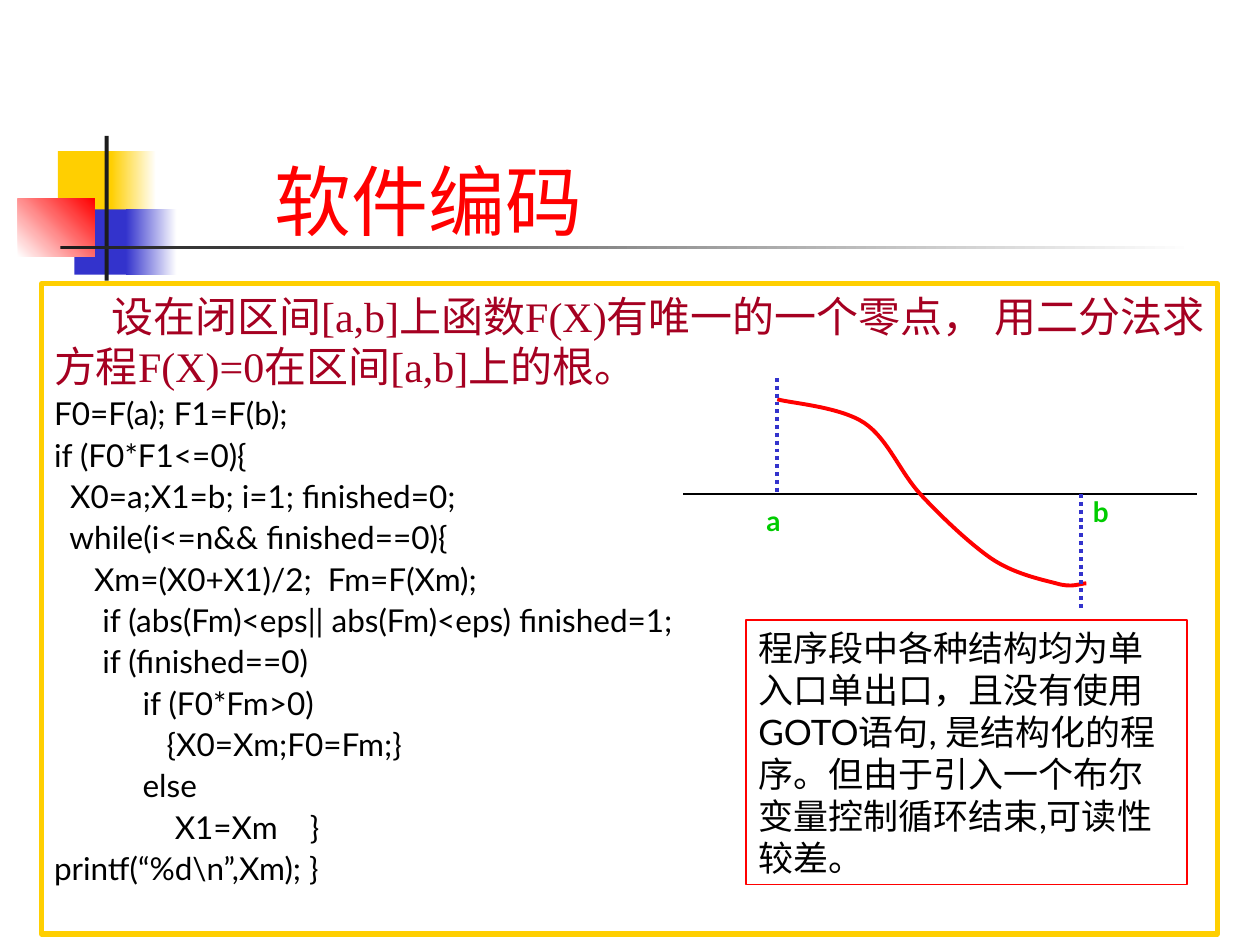
from collections import namedtuple

from lxml.etree import SubElement
from pptx import Presentation
from pptx.dml.color import RGBColor
from pptx.enum.dml import MSO_LINE
from pptx.enum.shapes import MSO_CONNECTOR, MSO_SHAPE
from pptx.enum.text import MSO_ANCHOR, MSO_AUTO_SIZE, PP_ALIGN
from pptx.oxml.ns import qn
from pptx.util import Cm, Pt

Box = namedtuple("Box", "x y w h")

SANS, SERIF = "Lato", "Times New Roman"
BLACK, WHITE, RED = "000000", "FFFFFF", "FF0000"
YELLOW, BLUE, DARK = "FFCF01", "3333CC", "1C1C1C"
MAROON, GREEN = "A50021", "00CC00"

INTRO = [
    ("设在闭区间", SANS),
    ("[a,b]上函数F(X)", SERIF),
    ("有唯一的一个零点， 用二分法求方程", SANS),
    ("F(X)=0在", SERIF),
    ("区间", SANS),
    ("[a,b]上的根。", SERIF),
]
CODE = r"""F0=F(a); F1=F(b);
if (F0*F1<=0){
  X0=a;X1=b; i=1; finished=0;
  while(i<=n&& finished==0){
     Xm=(X0+X1)/2;  Fm=F(Xm);
      if (abs(Fm)<eps|| abs(Fm)<eps) finished=1;
      if (finished==0)
           if (F0*Fm>0)
              {X0=Xm;F0=Fm;}
           else
               X1=Xm    }
printf(“%d\n”,Xm); }"""
NOTE = ("程序段中各种结构均为单入口单出口，且没有使用GOTO语句, 是结构化的程序。"
        "但由于引入一个布尔变量控制循环结束,可读性较差。")

# Start point, then control, control, end for each Bezier piece
CURVE = [
    (1.9, 0.43),
    (2.18, 0.51), (3.17, 0.58), (3.66, 0.91),
    (4.14, 1.24), (4.37, 1.9), (4.8, 2.36),
    (5.23, 2.82), (5.77, 3.33), (6.2, 3.63),
    (6.65, 3.94), (7.21, 4.06), (7.52, 4.14),
    (7.85, 4.24), (8, 4.14), (8.13, 4.14),
]


def rgb(value):
    return RGBColor.from_string(value)


def lengths(box):
    return [Cm(v) for v in box]


def add_run(p, text, size, color, font=SANS, bold=False):
    r = p.add_run()
    r.text = text
    r.font.name, r.font.size, r.font.bold = font, Pt(size), bold
    r.font.color.rgb = rgb(color)


def setup_frame(sp, margin_x=0.25, margin_y=0.13):
    tf = sp.text_frame
    tf.word_wrap = True
    tf.auto_size = MSO_AUTO_SIZE.NONE
    tf.vertical_anchor = MSO_ANCHOR.TOP
    tf.margin_left = tf.margin_right = Cm(margin_x)
    tf.margin_top = tf.margin_bottom = Cm(margin_y)
    tf.paragraphs[0].alignment = PP_ALIGN.LEFT
    return tf


def add_block(shapes, box, start, end=None, angle=0):
    """Borderless rectangle, solid or fading from start to end."""
    sp = shapes.add_shape(MSO_SHAPE.RECTANGLE, *lengths(box))
    sp.shadow.inherit = False
    sp.line.fill.background()
    if end is None:
        sp.fill.solid()
        sp.fill.fore_color.rgb = rgb(start)
        return
    sp.fill.gradient()
    sp.fill.gradient_angle = angle
    for stop, color in zip(sp.fill.gradient_stops, (start, end)):
        stop.color.rgb = rgb(color)


def add_frame(shapes, box, color, width):
    """Unfilled bordered rectangle ready for text."""
    sp = shapes.add_shape(MSO_SHAPE.RECTANGLE, *lengths(box))
    sp.shadow.inherit = False
    sp.fill.background()
    sp.line.color.rgb = rgb(color)
    sp.line.width = Pt(width)
    return setup_frame(sp)


def add_line(shapes, x1, y1, x2, y2, color, width, dash=None):
    cx = shapes.add_connector(MSO_CONNECTOR.STRAIGHT, Cm(x1), Cm(y1), Cm(x2), Cm(y2))
    cx.line.color.rgb = rgb(color)
    cx.line.width = Pt(width)
    if dash:
        cx.line.dash_style = dash
    SubElement(cx._element.spPr, qn("a:effectLst"))


def add_curve(shapes, points, color, width):
    pts = [(Cm(x), Cm(y)) for x, y in points]
    builder = shapes.build_freeform(*pts[0])
    builder.add_line_segments(pts[1:], close=False)
    sp = builder.convert_to_shape()
    sp.shadow.inherit = False
    sp.fill.background()
    sp.line.color.rgb = rgb(color)
    sp.line.width = Pt(width)
    # Every three straight segments become one cubic piece
    segments = list(sp._element.iter(qn("a:lnTo")))
    outline = segments[0].getparent()
    for i in range(0, len(segments), 3):
        cubic = SubElement(outline, qn("a:cubicBezTo"))
        for seg in segments[i:i + 3]:
            cubic.append(seg[0])
            outline.remove(seg)


def draw_decoration(s, box):
    x, y = box.x, box.y
    side = 1.32
    add_block(s.shapes, Box(x + 0.81, y + 0.31, 1.22, side), YELLOW)
    add_block(s.shapes, Box(x + 1.88, y + 0.31, 0.91, side), YELLOW, WHITE)
    add_block(s.shapes, Box(x + 1.14, y + 1.48, 1.17, side), BLUE)
    add_block(s.shapes, Box(x + 2.18, y + 1.48, 1.02, side), BLUE, WHITE)
    add_block(s.shapes, Box(x, y + 1.27, 1.55, 1.17), WHITE, RED, angle=45)
    add_block(s.shapes, Box(x + 1.75, y, 0.08, box.h), DARK)
    add_block(s.shapes, Box(x + 0.86, y + 2.21, box.w - 0.86, 0.08), DARK, WHITE)


def fill_title(s, box):
    sp = s.shapes.title
    sp.left, sp.top, sp.width, sp.height = lengths(box)
    add_run(setup_frame(sp).paragraphs[0], "软件编码", 44, RED)


def draw_intro(s, box):
    p = add_frame(s.shapes, box, YELLOW, 3).paragraphs[0]
    p._p.get_or_add_pPr().set("indent", str(Cm(1.15)))
    for text, font in INTRO:
        add_run(p, text, 24, MAROON, font)


def draw_plot(s, box):
    shapes = s.shapes.add_group_shape().shapes
    x, y = box.x, box.y
    axis, a, b = y + 2.34, x + 1.9, x + 8.02
    add_line(shapes, x, axis, x + box.w, axis, BLACK, 0.75)
    add_curve(shapes, [(x + dx, y + dy) for dx, dy in CURVE], RED, 2.25)
    # Interval ends
    add_line(shapes, a, y, a, axis, BLUE, 2.25, MSO_LINE.ROUND_DOT)
    add_line(shapes, b, axis, b, y + box.h, BLUE, 2.25, MSO_LINE.ROUND_DOT)
    for text, left, top in (("a", a - 0.22, axis + 0.2), ("b", b + 0.24, axis)):
        sp = shapes.add_textbox(*lengths(Box(left, top, 0.43, 0.69)))
        add_run(setup_frame(sp, 0, 0).paragraphs[0], text, 16, GREEN, bold=True)


def draw_code(s, box):
    tf = setup_frame(s.shapes.add_textbox(*lengths(box)))
    for i, line in enumerate(CODE.split("\n")):
        p = tf.add_paragraph() if i else tf.paragraphs[0]
        if i:
            p.space_before = Pt(2)
        add_run(p, line, 18, BLACK)


def draw_note(s, box):
    p = add_frame(s.shapes, box, RED, 0.75).paragraphs[0]
    add_run(p, NOTE, 20, BLACK)


def main():
    prs = Presentation()
    prs.slide_width, prs.slide_height = Cm(25.4), Cm(19.05)
    s = prs.slides.add_slide(prs.slide_layouts[5])
    draw_decoration(s, Box(0.36, 2.74, 23.72, 2.92))
    fill_title(s, Box(5.28, 2.97, 13.13, 2.13))
    draw_intro(s, Box(0.84, 5.72, 23.7, 13.11))
    draw_plot(s, Box(13.77, 7.62, 10.36, 4.65))
    draw_code(s, Box(0.84, 7.82, 14.81, 10.26))
    draw_note(s, Box(15.04, 12.5, 8.89, 5.33))
    prs.save("out.pptx")


if __name__ == "__main__":
    main()
